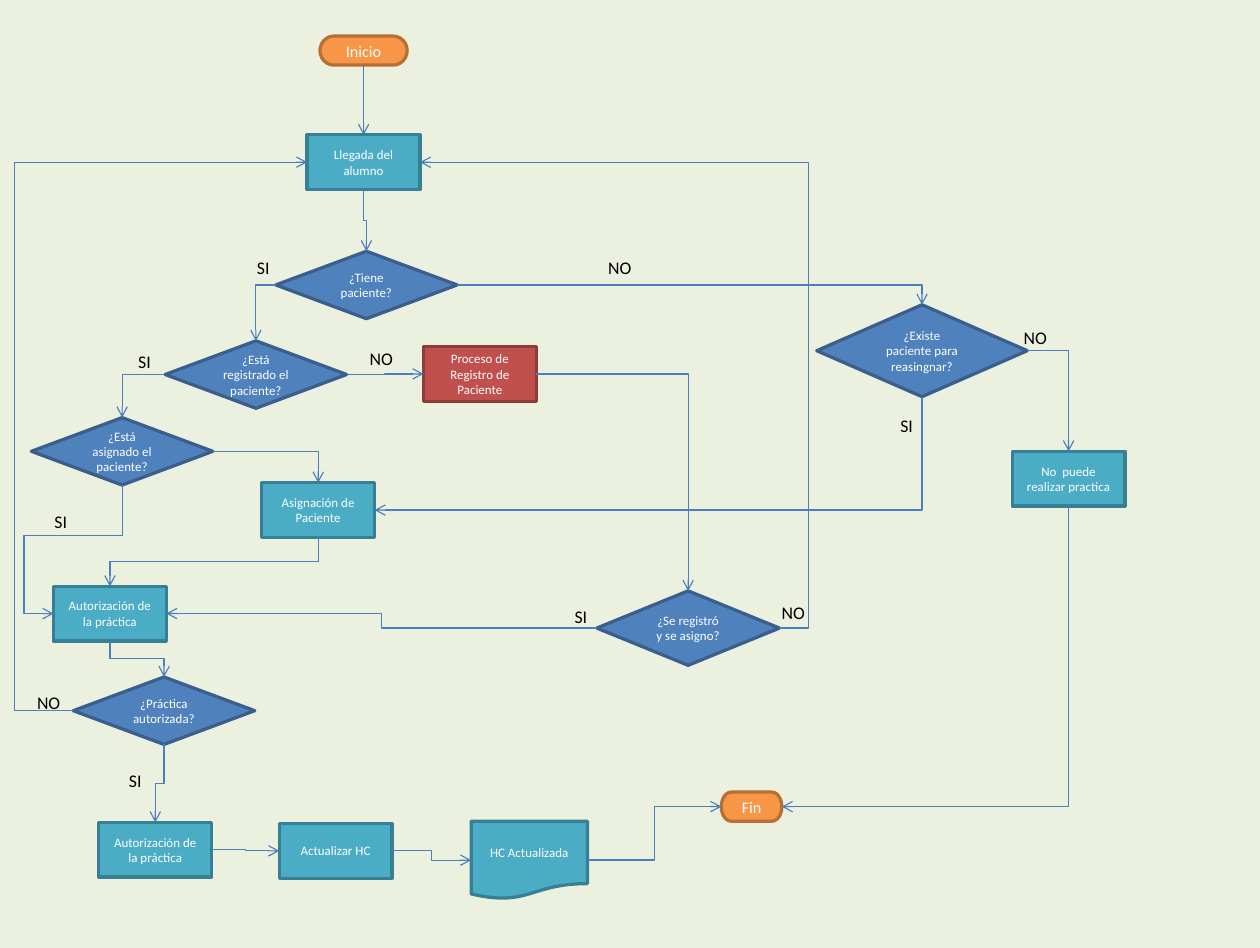
from pptx import Presentation
from pptx.dml.color import RGBColor
from pptx.enum.shapes import MSO_CONNECTOR, MSO_SHAPE as SHAPE
from pptx.enum.text import MSO_ANCHOR, PP_ALIGN
from pptx.oxml.ns import qn
from pptx.util import Inches, Pt
from lxml import etree

BACKGROUND = RGBColor(0xEB, 0xF1, 0xDE)
ORANGE, ORANGE_EDGE = RGBColor(0xF7, 0x96, 0x46), RGBColor(0xB7, 0x6F, 0x34)
TEAL, TEAL_EDGE = RGBColor(0x4B, 0xAC, 0xC6), RGBColor(0x37, 0x7F, 0x92)
BLUE, BLUE_EDGE = RGBColor(0x4F, 0x81, 0xBD), RGBColor(0x3A, 0x5F, 0x8C)
RED, RED_EDGE = RGBColor(0xC0, 0x50, 0x4D), RGBColor(0x8E, 0x3B, 0x39)
LINE = RGBColor(0x4B, 0x7E, 0xBC)
WHITE = RGBColor(0xFF, 0xFF, 0xFF)
BLACK = RGBColor(0, 0, 0)

prs = Presentation()
prs.slide_width, prs.slide_height = Inches(10.83), Inches(8.15)
s = prs.slides.add_slide(prs.slide_layouts[6])
s.background.fill.solid()
s.background.fill.fore_color.rgb = BACKGROUND


def write(sp, text, **font):
    """Put one formatted run into a shape."""
    p = sp.text_frame.paragraphs[0]
    r = p.add_run()
    r.text = text
    r.font.color.rgb = font.pop("color")
    for name, value in {"name": "Calibri", **font}.items():
        setattr(r.font, name, value)
    return p


# Kinds of step: preset, fill, edge, text size, usual width and height
KINDS = {
    "terminal": (SHAPE.FLOWCHART_TERMINATOR, ORANGE, ORANGE_EDGE, 10, 0.75, 0.25),
    "process": (SHAPE.FLOWCHART_PROCESS, TEAL, TEAL_EDGE, 8, 0.97, 0.47),
    "subprocess": (SHAPE.FLOWCHART_PROCESS, RED, RED_EDGE, 8, 0.97, 0.47),
    "decision": (SHAPE.FLOWCHART_DECISION, BLUE, BLUE_EDGE, 8, 1.56, 0.58),
    "document": (SHAPE.FLOWCHART_DOCUMENT, TEAL, TEAL_EDGE, 8, 1, 0.67),
}

# Steps: name, kind, text, left, top and, where unusual, width and height
STEPS = [
    ("inicio", "terminal", "Inicio", 2.75, 0.31),
    ("fin", "terminal", "Fin", 6.2, 6.81, 0.52, 0.25),
    ("llegada", "process", "Llegada del alumno", 2.64, 1.16),
    ("tiene", "decision", "¿Tiene paciente?", 2.37, 2.16),
    ("existe", "decision", "¿Existe paciente para reasingnar?", 7.02, 2.62, 1.81, 0.79),
    ("registrado", "decision", "¿Está registrado el paciente?", 1.42, 2.93),
    ("no_puede", "process", "No  puede realizar practica", 8.7, 3.88),
    ("autorizacion", "process", "Autorización de la práctica", 0.46, 5.04),
    ("asignado", "decision", "¿Está asignado el paciente?", 0.27, 3.59),
    ("autorizada", "decision", "¿Práctica autorizada?", 0.63, 5.82),
    ("practica", "process", "Autorización de la práctica", 0.85, 7.07),
    ("actualizar", "process", "Actualizar HC", 2.4, 7.08),
    ("hc", "document", "HC Actualizada", 4.05, 7.06),
    ("registro", "subprocess", "Proceso de Registro de Paciente", 3.64, 2.98),
    ("se_asigno", "decision", "¿Se registró y se asigno?", 5.13, 5.08, 1.57, 0.64),
    ("asignacion", "process", "Asignación de Paciente", 2.25, 4.15),
]
steps = {}
for name, kind, text, left, top, *size in STEPS:
    preset, fill, edge, points, *usual = KINDS[kind]
    sp = s.shapes.add_shape(preset, *map(Inches, (left, top, *(size or usual))))
    sp.shadow.inherit = False
    sp.fill.solid()
    sp.fill.fore_color.rgb = fill
    sp.line.color.rgb = edge
    sp.line.width = Pt(2)
    sp.text_frame.word_wrap = True
    sp.text_frame.vertical_anchor = MSO_ANCHOR.MIDDLE
    write(sp, text, size=Pt(points), color=WHITE).alignment = PP_ALIGN.CENTER
    steps[name] = sp

# Arrows: from, side, to, side, number of segments, bend positions
TOP, LEFT, BOTTOM, RIGHT = range(4)
ARROWS = [
    ("inicio", BOTTOM, "llegada", TOP, 3, 0.5),
    ("llegada", BOTTOM, "tiene", TOP, 3, 0.5),
    ("tiene", LEFT, "registrado", TOP, 2),
    ("tiene", RIGHT, "existe", TOP, 2),
    ("existe", RIGHT, "no_puede", TOP, 2),
    ("existe", BOTTOM, "asignacion", RIGHT, 2),
    ("no_puede", BOTTOM, "fin", RIGHT, 2),
    ("registrado", LEFT, "asignado", TOP, 2),
    ("registrado", RIGHT, "registro", LEFT, 3, 0.5),
    ("registro", RIGHT, "se_asigno", TOP, 2),
    ("se_asigno", RIGHT, "llegada", RIGHT, 3, -0.08),
    ("se_asigno", LEFT, "autorizacion", RIGHT, 3, 0.5),
    ("asignado", BOTTOM, "autorizacion", LEFT, 4, 0.39, 1.43),
    ("asignado", RIGHT, "asignacion", TOP, 2),
    ("asignacion", BOTTOM, "autorizacion", TOP, 3, 0.5),
    ("autorizacion", BOTTOM, "autorizada", TOP, 3, 0.5),
    ("autorizada", LEFT, "llegada", LEFT, 3, -0.25),
    ("autorizada", BOTTOM, "practica", TOP, 3, 0.5),
    ("practica", RIGHT, "actualizar", LEFT, 3, 0.5),
    ("actualizar", RIGHT, "hc", LEFT, 3, 0.5),
    ("hc", RIGHT, "fin", LEFT, 3, 0.5),
]
for start, side, end, end_side, segments, *bends in ARROWS:
    cx = s.shapes.add_connector(MSO_CONNECTOR.ELBOW, 0, 0, 0, 0)
    cx.begin_connect(steps[start], side)
    cx.end_connect(steps[end], end_side)
    cx.line.color.rgb = LINE
    cx.line.width = Pt(0.75)
    spPr = cx._element.spPr
    etree.SubElement(cx.line._get_or_add_ln(), qn("a:tailEnd"), type="arrow")
    etree.SubElement(spPr, qn("a:effectLst"))

    # An arrow that leaves downwards is a turned elbow about the same centre
    if side == BOTTOM:
        rightwards = cx.end_x > cx.begin_x
        mid_x, mid_y = cx.left + cx.width // 2, cx.top + cx.height // 2
        w, h = cx.height, cx.width
        xfrm = spPr.find(qn("a:xfrm"))
        for flip in ("flipH", "flipV"):
            xfrm.attrib.pop(flip, None)
        xfrm.set("rot", str((270 if rightwards else 90) * 60000))
        if rightwards:
            xfrm.set("flipH", "1")
        cx.left, cx.top, cx.width, cx.height = mid_x - w // 2, mid_y - h // 2, w, h

    geom = spPr.find(qn("a:prstGeom"))
    geom.set("prst", f"bentConnector{segments}")
    guides = geom.find(qn("a:avLst"))
    for i, bend in enumerate(bends, 1):
        etree.SubElement(guides, qn("a:gd"), name=f"adj{i}", fmla=f"val {round(bend * 100000)}")

# Answers beside the arrows
ANSWERS = [
    ("SI", 2.11, 2.16), ("NO", 5.13, 2.16), ("NO", 8.7, 2.76), ("SI", 1.09, 2.97),
    ("SI", 0.37, 4.34), ("SI", 1.01, 6.57), ("NO", 3.08, 2.94), ("NO", 6.62, 5.12),
    ("SI", 4.84, 5.16), ("SI", 7.64, 3.52), ("NO", 0.22, 5.9),
]
for text, left, top in ANSWERS:
    tb = s.shapes.add_textbox(*map(Inches, (left, top, 0.4, 0.29)))
    tb.text_frame.word_wrap = False
    write(tb, text, size=Pt(11), color=BLACK)

prs.save("out.pptx")
